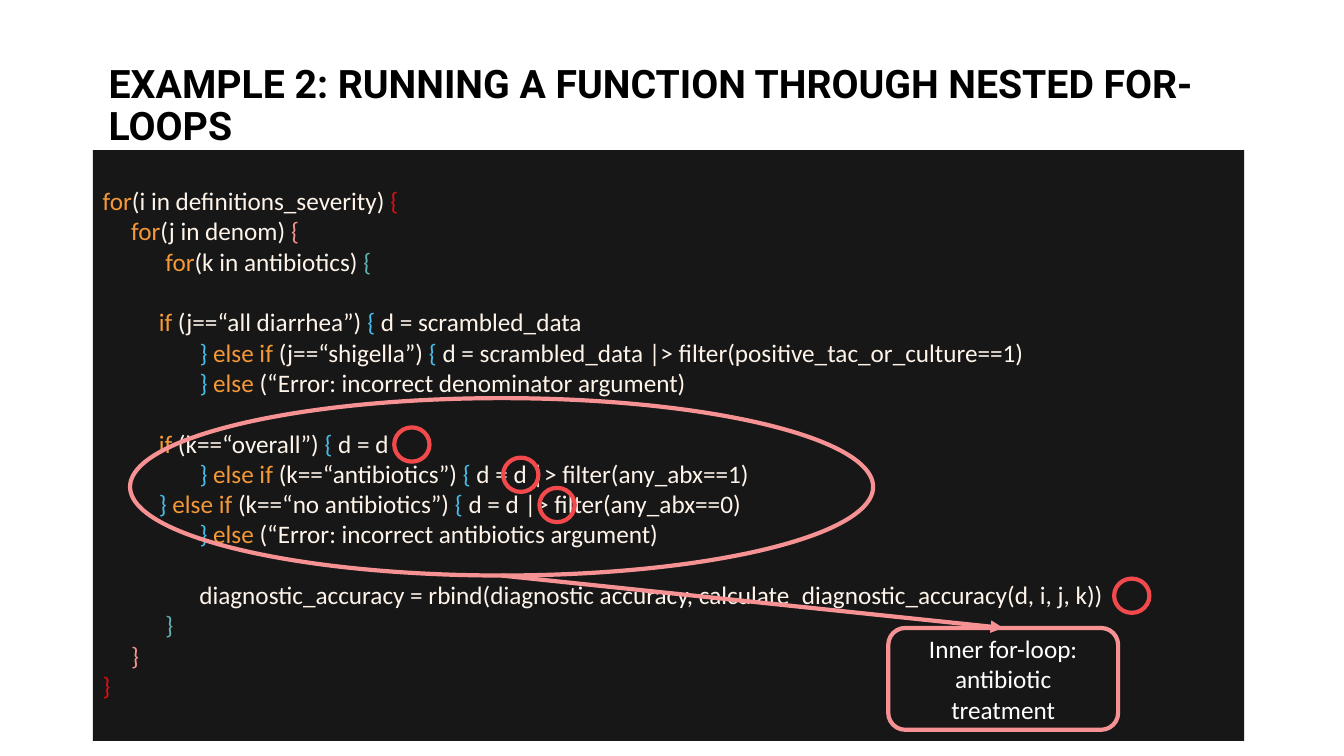
from dataclasses import dataclass

import pptx
import pptx.dml.color
import pptx.enum.shapes
import pptx.enum.text
import pptx.oxml
import pptx.oxml.ns
import pptx.util
from pptx.util import Inches

Kind = pptx.enum.shapes.MSO_SHAPE
Anchor = pptx.enum.text.MSO_ANCHOR
Align = pptx.enum.text.PP_ALIGN

BLACK, WHITE, DARK, CREAM = "000000", "FFFFFF", "181717", "FEF4EA"
ORANGE, RED, PINK, TEAL, BLUE = "F49838", "DC1013", "F79294", "61B3B2", "45BDE9"
RING = "F2494C"


@dataclass
class Line:
    """One line of code; tint colours its braces, gap leaves a line free above."""
    lead: str = ""
    close: str = ""
    key: str = ""
    test: str = ""
    brace: str = ""
    tail: str = ""
    tint: str = BLUE
    gap: bool = False


@dataclass
class Mark:
    kind: Kind
    left: float
    top: float
    width: float
    height: float
    fill: str = ""
    line: str = ""


STEP, LOOP, BODY, TAB = " " * 5, " " * 11, " " * 17, "\t "
CODE = [
    Line(key="for", test="(i in definitions_severity) ", brace="{", tint=RED),
    Line(STEP, key="for", test="(j in denom) ", brace="{", tint=PINK),
    Line(LOOP, key="for", test="(k in antibiotics) ", brace="{", tint=TEAL),
    Line(TAB, "", "if ", "(j==“all diarrhea”) ", "{ ", "d = scrambled_data", gap=True),
    Line(BODY, "} ", "else if ", "(j==“shigella”) ", "{ ",
         "d = scrambled_data |> filter(positive_tac_or_culture==1)"),
    Line(BODY, "} ", "else ", "(“Error: incorrect denominator argument)"),
    Line(TAB, "", "if ", "(k==“overall”) ", "{", " d = d", gap=True),
    Line(BODY, "} ", "else if ", "(k==“antibiotics”) ", "{", " d = d |> filter(any_abx==1)"),
    Line(TAB, "} ", "else if ", "(k==“no antibiotics”) ", "{", " d = d |> filter(any_abx==0)"),
    Line(BODY, "} ", "else ", "(“Error: incorrect antibiotics argument)"),
    Line(BODY, gap=True, tail="diagnostic_accuracy = rbind(diagnostic accuracy, "
         "calculate_diagnostic_accuracy(d, i, j, k))"),
    Line(LOOP, "}", tint=TEAL),
    Line(STEP, "}", tint=PINK),
    Line(close="}", tint=RED),
]

PANEL = Mark(Kind.RECTANGLE, 0.92, 1.49, 11.42, 5.86, fill=DARK)
OVAL = Mark(Kind.OVAL, 1.29, 3.95, 7.37, 1.76, line=PINK)
NOTE = Mark(Kind.ROUNDED_RECTANGLE, 8.81, 6.23, 2.28, 1.01, line=PINK)
RINGS = [Mark(Kind.OVAL, left, top, 0.35, 0.34, line=RING)
         for left, top in [(3.91, 4.24), (4.99, 4.54), (11.05, 5.74), (5.35, 4.84)]]


def paint(target, tint: str) -> None:
    target.rgb = pptx.dml.color.RGBColor.from_string(tint)


def style(font, name: str, size: int, tint: str, bold: bool = False) -> None:
    font.name, font.size, font.bold = name, pptx.util.Pt(size), bold
    paint(font.color, tint)


def draw(slide, mark: Mark):
    shape = slide.shapes.add_shape(mark.kind, Inches(mark.left), Inches(mark.top),
                                   Inches(mark.width), Inches(mark.height))
    shape.shadow.inherit = False
    if mark.fill:
        shape.fill.solid()
        paint(shape.fill.fore_color, mark.fill)
    else:
        shape.fill.background()
    if mark.line:
        paint(shape.line.color, mark.line)
        shape.line.width = pptx.util.Pt(3)
    else:
        shape.line.fill.background()
    return shape


def title(slide, text: str) -> None:
    box = slide.shapes.add_textbox(Inches(0.98), Inches(0.08), Inches(11.38), Inches(1.45))
    frame = box.text_frame
    frame.word_wrap = True
    frame.vertical_anchor = Anchor.BOTTOM
    para = frame.paragraphs[0]
    para.text = text
    para.line_spacing = 0.9
    style(para.font, "Roboto", 28, BLACK, True)


def code(slide) -> None:
    frame = draw(slide, PANEL).text_frame
    frame.word_wrap = True
    frame.vertical_anchor = Anchor.TOP
    frame.margin_top = Inches(0.35)
    for n, line in enumerate(CODE):
        para = frame.add_paragraph() if n else frame.paragraphs[0]
        para.alignment = Align.LEFT
        if line.gap:
            para.space_before = pptx.util.Pt(21.8)
        style(para.font, "Calibri", 18, CREAM)
        parts = [(line.lead, CREAM), (line.close, line.tint), (line.key, ORANGE),
                 (line.test, CREAM), (line.brace, line.tint), (line.tail, CREAM)]
        for text, tint in parts:
            if text:
                run = para.add_run()
                run.text = text
                style(run.font, "Calibri", 18, tint)


def arrow(slide) -> None:
    """Join the foot of the oval to the top of the note."""
    link = slide.shapes.add_connector(
        pptx.enum.shapes.MSO_CONNECTOR.STRAIGHT,
        Inches(OVAL.left + OVAL.width / 2), Inches(OVAL.top + OVAL.height),
        Inches(NOTE.left + NOTE.width / 2), Inches(NOTE.top))
    paint(link.line.color, PINK)
    link.line.width = pptx.util.Pt(3)
    qn = pptx.oxml.ns.qn
    tail = link.line._get_or_add_ln().makeelement(qn("a:tailEnd"), {"type": "triangle"})
    link.line._get_or_add_ln().append(tail)
    props = link._element.spPr
    props.append(props.makeelement(qn("a:effectLst"), {}))


def note(slide, text: str) -> None:
    frame = draw(slide, NOTE).text_frame
    frame.word_wrap = True
    frame.vertical_anchor = Anchor.MIDDLE
    para = frame.paragraphs[0]
    para.text = text
    para.alignment = Align.CENTER
    style(para.font, "Calibri", 18, WHITE)


def main() -> None:
    deck = pptx.Presentation()
    deck.slide_width, deck.slide_height = Inches(13.33), Inches(7.5)
    slide = deck.slides.add_slide(deck.slide_layouts[6])
    title(slide, "EXAMPLE 2: RUNNING A FUNCTION THROUGH NESTED FOR-LOOPS")
    code(slide)
    draw(slide, OVAL)
    arrow(slide)
    note(slide, "Inner for-loop: antibiotic treatment")
    for ring in RINGS:
        draw(slide, ring)
    deck.save("out.pptx")


if __name__ == "__main__":
    main()
